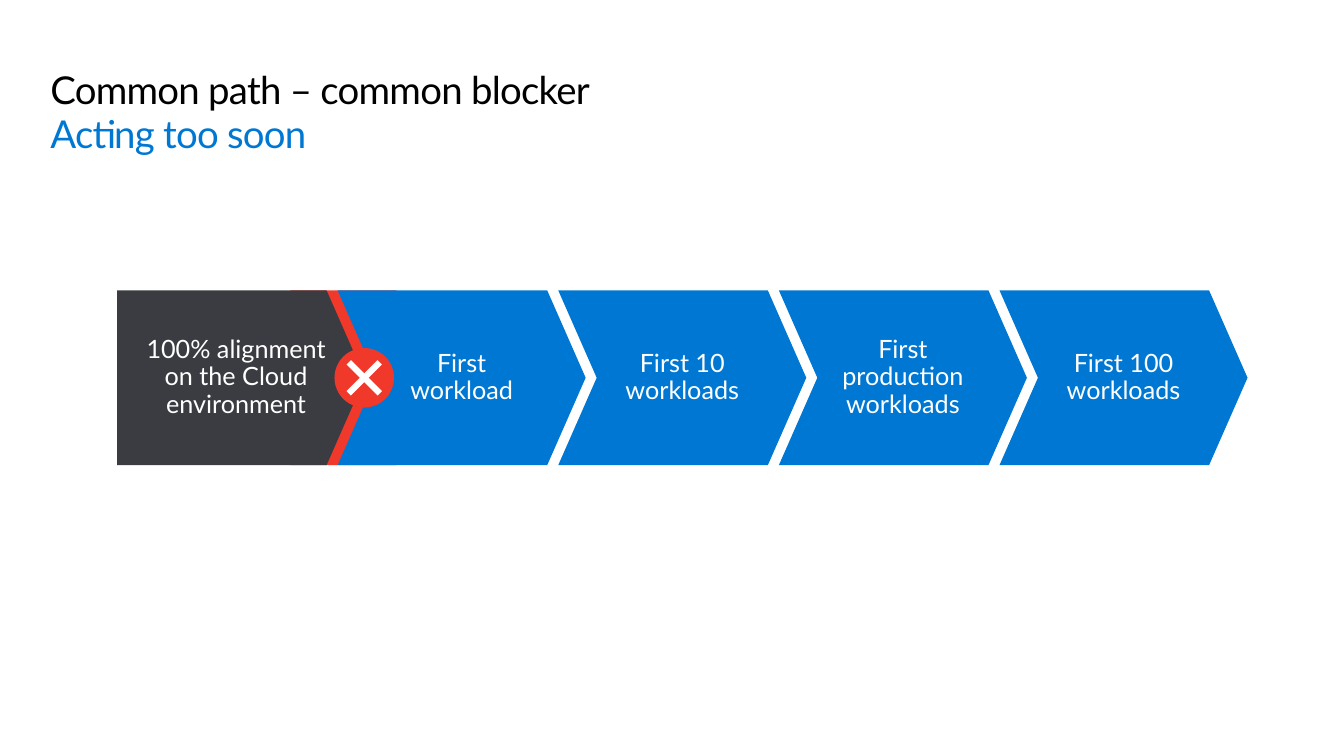
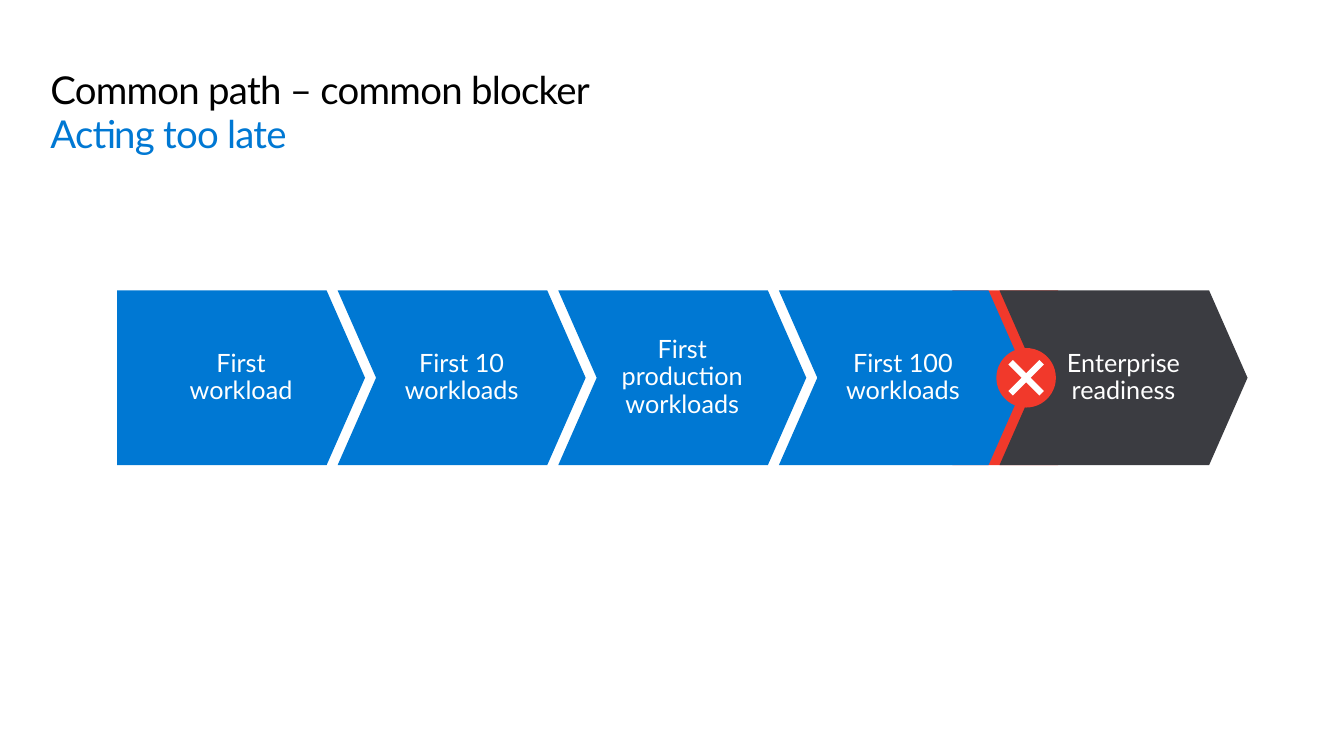
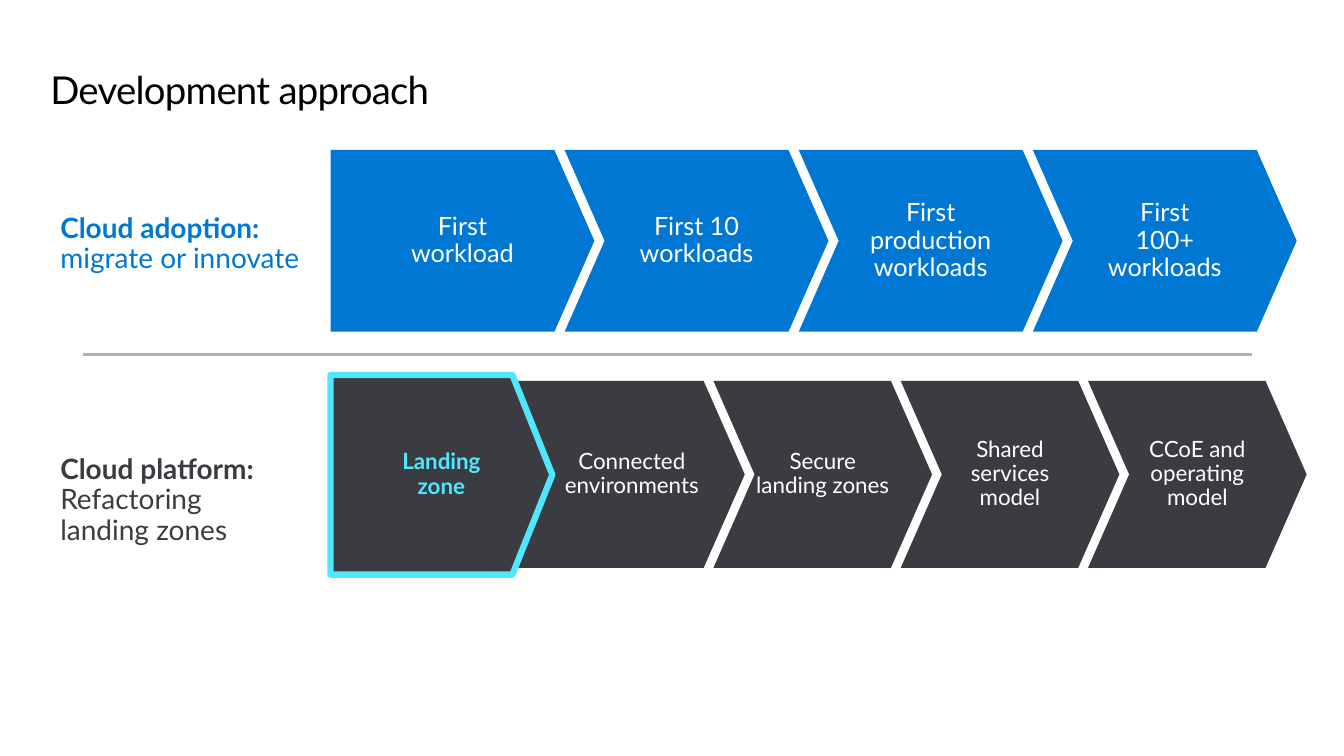
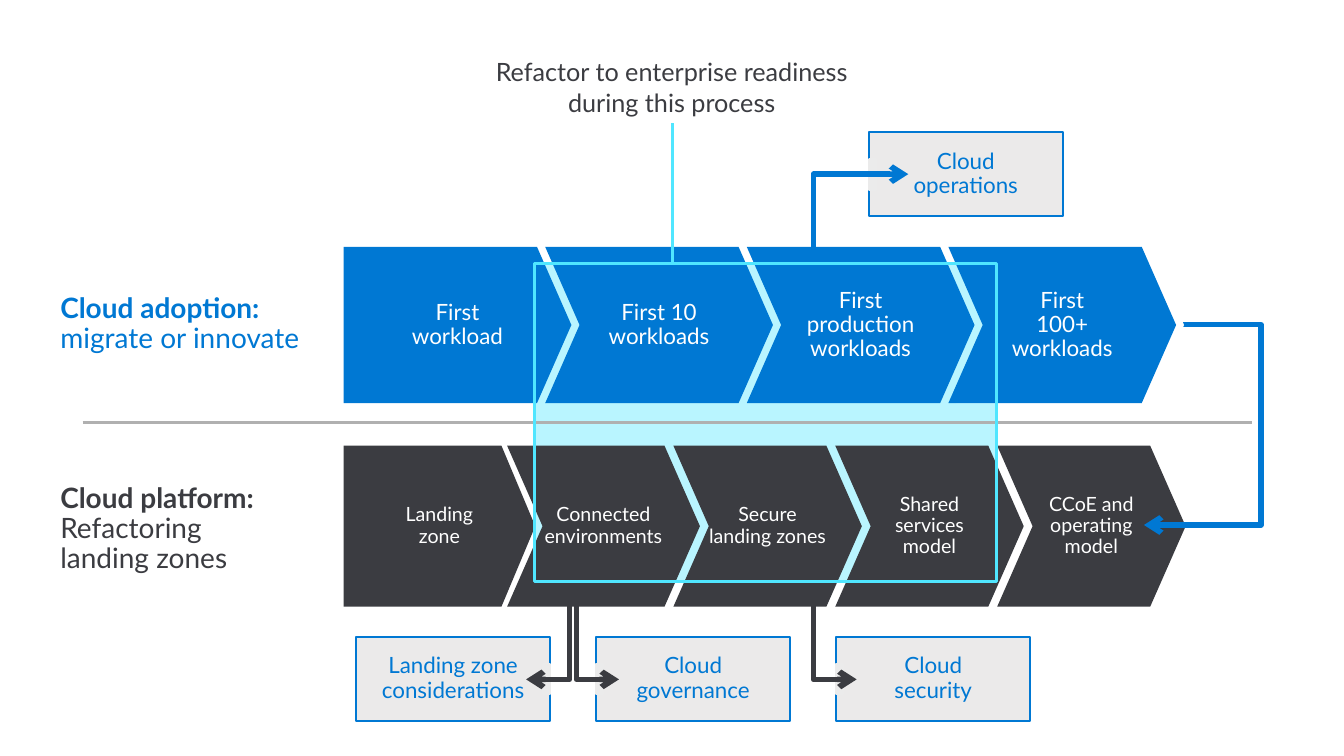
"""Build four slides on the path of workloads to the cloud."""
import pptx
import pptx.util
import pptx.dml.color
import pptx.enum.shapes
import pptx.enum.text
import pptx.oxml.ns
from lxml import etree

Cm, Pt = pptx.util.Cm, pptx.util.Pt
RGB = pptx.dml.color.RGBColor
FORM = pptx.enum.shapes.MSO_SHAPE
LINK = pptx.enum.shapes.MSO_CONNECTOR
ALIGN = pptx.enum.text.PP_ALIGN
ANCHOR = pptx.enum.text.MSO_ANCHOR
qn = pptx.oxml.ns.qn

BLACK = RGB(0x00, 0x00, 0x00)
WHITE = RGB(0xFF, 0xFF, 0xFF)
BLUE = RGB(0x00, 0x78, 0xD3)
DARK = RGB(0x3B, 0x3C, 0x41)
RED = RGB(0xF1, 0x39, 0x2B)
CYAN = RGB(0x50, 0xE6, 0xFF)
PALE = RGB(0xB9, 0xF5, 0xFF)
GREY = RGB(0xB0, 0xB0, 0xB0)
LIGHT = RGB(0xEB, 0xEA, 0xEA)
NOTCH = RGB(0xEB, 0xEB, 0xEB)
FONT = "Lato"
EVEN = (0.25, 0.25, 0.25, 0.25)
SLIM = (0, 0.25, 0, 0.25)
TALL = (0.25, 0.41, 0.25, 0.41)


def put(slide, box, text="", form=None, fill=None, line=None, width=1.5, adj=0.22,
        size=18, color=WHITE, bold=False, align=ALIGN.CENTER, anchor=ANCHOR.MIDDLE,
        pad=EVEN, space=0.9, track=0):
    """Add a shape, or a text box if no form is given; text is a string or (words, color, bold) runs."""
    left, top, wide, high = box
    place = [Cm(n) for n in box]
    if form is None:
        shape = slide.shapes.add_textbox(*place)
    else:
        shape = slide.shapes.add_shape(form, *place)
        shape.shadow.inherit = False
        if form in (FORM.CHEVRON, FORM.PENTAGON, FORM.RIGHT_BRACKET):
            shape.adjustments[0] = adj
        if fill is None:
            shape.fill.background()
        else:
            shape.fill.solid()
            shape.fill.fore_color.rgb = fill
        if line is None:
            shape.line.fill.background()
        else:
            shape.line.color.rgb = line
            shape.line.width = Pt(width)
    if not text:
        return shape
    frame = shape.text_frame
    frame.word_wrap = True
    frame.vertical_anchor = anchor
    shift = adj * high / 2 if form == FORM.PENTAGON else 0
    frame.margin_left, frame.margin_top = Cm(pad[0] + shift), Cm(pad[1])
    frame.margin_right, frame.margin_bottom = Cm(pad[2]), Cm(pad[3])
    para = frame.paragraphs[0]
    para.alignment = align
    para.line_spacing = space
    runs = [(text, color, bold)] if isinstance(text, str) else text
    for words, tint, heavy in runs:
        for i, part in enumerate(words.split("\v")):
            if i:
                para.add_line_break()
            if not part:
                continue
            run = para.add_run()
            run.text = part
            run.font.name, run.font.size, run.font.bold = FONT, Pt(size), heavy
            run.font.color.rgb = tint
            if track:
                run.font._element.set("spc", str(track))
    for gap in para._p.findall(qn("a:br")):
        etree.SubElement(gap, qn("a:rPr"), sz=str(round(size * 100)))
    return shape


def join(slide, start, end, color, width, bent=False):
    """Add a straight line, or an arrow that turns at its start."""
    kind = LINK.ELBOW if bent else LINK.STRAIGHT
    link = slide.shapes.add_connector(kind, *[Cm(n) for n in start + end])
    link.line.color.rgb = color
    link.line.width = Pt(width)
    if bent:
        form = link._element.spPr.find(qn("a:prstGeom"))
        guides = form.find(qn("a:avLst"))
        if guides is None:
            guides = etree.SubElement(form, qn("a:avLst"))
        etree.SubElement(guides, qn("a:gd"), name="adj1", fmla="val 0")
        etree.SubElement(link.line._get_or_add_ln(), qn("a:tailEnd"), type="arrow")
    etree.SubElement(link._element.spPr, qn("a:effectLst"))


deck = pptx.Presentation()
deck.slide_width, deck.slide_height = Cm(33.87), Cm(19.05)
soon, late, plan, full = [deck.slides.add_slide(deck.slide_layouts[6]) for _ in range(4)]

HEAD = "Common path – common blocker\v"
heads = [
    (soon, [(HEAD, BLACK, False), ("Acting too soon", BLUE, False)], 2.21),
    (late, [(HEAD, BLACK, False), ("Acting too late", BLUE, False)], 2.21),
    (plan, "Development approach", 1.11),
]
for slide, text, high in heads:
    put(slide, (1.27, 1.73, 31.39, high), text, size=27.4, color=BLACK, align=ALIGN.LEFT,
        anchor=ANCHOR.TOP, pad=(0, 0, 0, 0), space=Pt(31.4), track=-50)

LOADS = ["First\vworkload", "First 10 workloads", "First production workloads"]
FLOW = LOADS + ["First 100 workloads"]
paths = [
    (soon, ["100% alignment\von the Cloud environment"] + FLOW, 0, 1),
    (late, FLOW + ["Enterprise\vreadiness"], 4, 4),
]
LEFT, TOP, STEP, HIGH = 2.95, 7.32, 5.56, 4.4
for slide, steps, dark, block in paths:
    seam = LEFT + block * STEP
    put(slide, (seam - 1.19, TOP, 2.67, HIGH), form=FORM.RECTANGLE, fill=RED)
    for i, text in enumerate(steps):
        put(slide, (LEFT + i * STEP, TOP, 6.25, HIGH), text,
            form=FORM.CHEVRON if i else FORM.PENTAGON, fill=DARK if i == dark else BLUE,
            pad=EVEN if i or dark else (0, 0.25, 0.25, 0.25))
    put(slide, (seam - 0.08, 8.77, 1.5, 1.5), form=FORM.OVAL, fill=RED)
    mid, arm = seam + 0.67, 0.39
    for side in (arm, -arm):
        join(slide, (mid + side, 9.52 - arm), (mid - side, 9.52 + arm), WHITE, 4.5)

put(full, (13.46, 6.63, 11.66, 8.03), form=FORM.RECTANGLE, fill=PALE)

ZONES = ["Connected environments", "Secure landing zones", "Shared services model",
         "CCoE and operating model"]
lower = [
    (plan, 11.07, 13.26, 9.6, 4.72, 5.51, 4.71, 0.43, 16, 0.25,
     (8.33, 9.45, 5.59, 5.03), 0.2, CYAN, CYAN),
    (full, 11.79, 12.89, 11.23, 4.08, 4.75, 4.06, 0.11, 14, 0,
     (8.66, 11.23, 4.83, 4.06), 0.21, WHITE, None),
]
for slide, label, left, top, step, wide, high, more, size, inset, plate, adj, tint, edge in lower:
    put(slide, (1.27, label, 7.01, 1.73),
        [("Cloud platform:\v", DARK, True), ("Refactoring\vlanding zones", DARK, False)],
        size=20, align=ALIGN.LEFT, anchor=ANCHOR.TOP, pad=TALL)
    for i, text in enumerate(ZONES):
        grow = 0 if i else more
        put(slide, (left + i * step - grow, top, wide + grow, high), text, form=FORM.CHEVRON,
            fill=DARK, size=size, pad=SLIM if i else (inset, 0.25, 0, 0.25))
    put(slide, plate, "Landing\vzone", form=FORM.PENTAGON, fill=DARK, line=edge, width=4.5,
        adj=adj, size=size, color=tint, bold=edge is not None, pad=SLIM)

loop = put(full, (28.83, 8.18, 2.95, 5.05), form=FORM.RIGHT_BRACKET, line=BLUE, width=4, adj=0)
etree.SubElement(loop.line._get_or_add_ln(), qn("a:tailEnd"), type="arrow")
put(full, (24.1, 6.22, 5.74, 3.94), form=FORM.CHEVRON, fill=WHITE)

upper = [
    (plan, 4.98, 8.94, 8.33, 3.78, 5.9, 6.65, 4.58, 18),
    (full, 7.01, 10.64, 8.66, 6.22, 5.08, 5.74, 3.94, 16),
]
for slide, label, rule, left, top, step, wide, high, size in upper:
    put(slide, (1.27, label, 7.01, 1.73),
        [("Cloud adoption:\v", BLUE, True), ("migrate or innovate", BLUE, False)],
        size=20, align=ALIGN.LEFT, anchor=ANCHOR.TOP, pad=TALL)
    join(slide, (2.08, rule), (31.55, rule), GREY, 2)
    for i, text in enumerate(LOADS + ["First\v100+ workloads"]):
        put(slide, (left + i * step, top, wide, high), text,
            form=FORM.CHEVRON if i else FORM.PENTAGON, fill=BLUE, size=size)

cards = [
    ("Cloud\voperations", 21.89, 3.33, 0),
    ("Cloud\vsecurity", 21.07, 16.05, 0),
    ("Cloud\vgovernance", 15.02, 16.05, 0),
    ("Landing zone\vconsiderations", 8.97, 16.05, 4.72),
]
for text, left, top, side in cards:
    put(full, (left, top, 4.9, 2.11), text, form=FORM.RECTANGLE, fill=LIGHT, line=BLUE,
        size=16, color=BLUE, pad=(0.51, 0.41, 0.51, 0.41))
    put(full, (left + side, top + 0.69, 0.18, 0.76), form=FORM.RECTANGLE, fill=NOTCH, line=NOTCH)

turns = [
    ((20.5, 6.78), (22.89, 4.39), BLUE),
    ((14.35, 14.66), (13.26, 17.12), DARK),
    ((14.53, 14.66), (15.6, 17.12), DARK),
    ((20.5, 14.66), (21.59, 17.12), DARK),
]
for start, end, color in turns:
    join(full, start, end, color, 4, bent=True)

put(full, (8.94, 1.3, 15.98, 1.8), "Refactor to enterprise readiness\vduring this process",
    color=DARK, anchor=ANCHOR.TOP, pad=(0.25, 0.13, 0.25, 0.13), space=1.0)
put(full, (13.46, 6.63, 11.66, 8.03), form=FORM.RECTANGLE, line=CYAN, width=2.25)
join(full, (16.94, 6.63), (16.94, 3.1), CYAN, 2.25)

deck.save("out.pptx")
